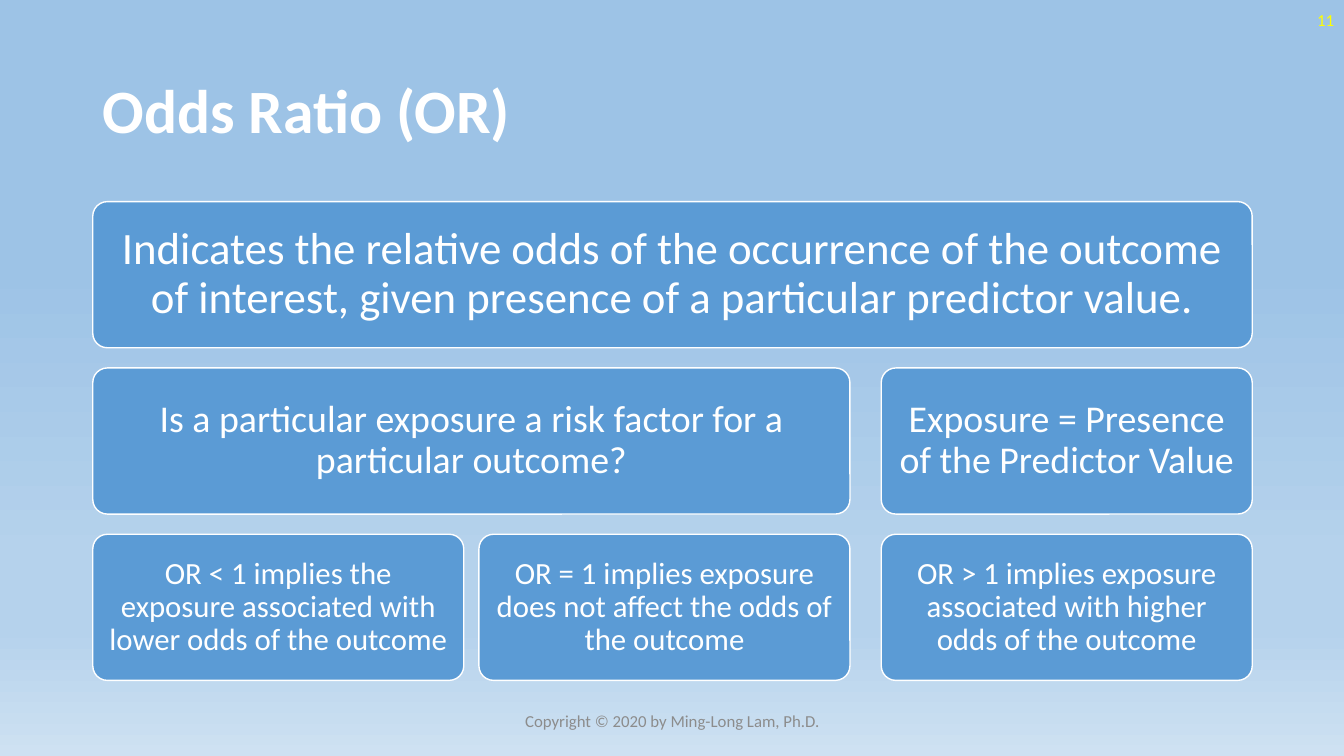
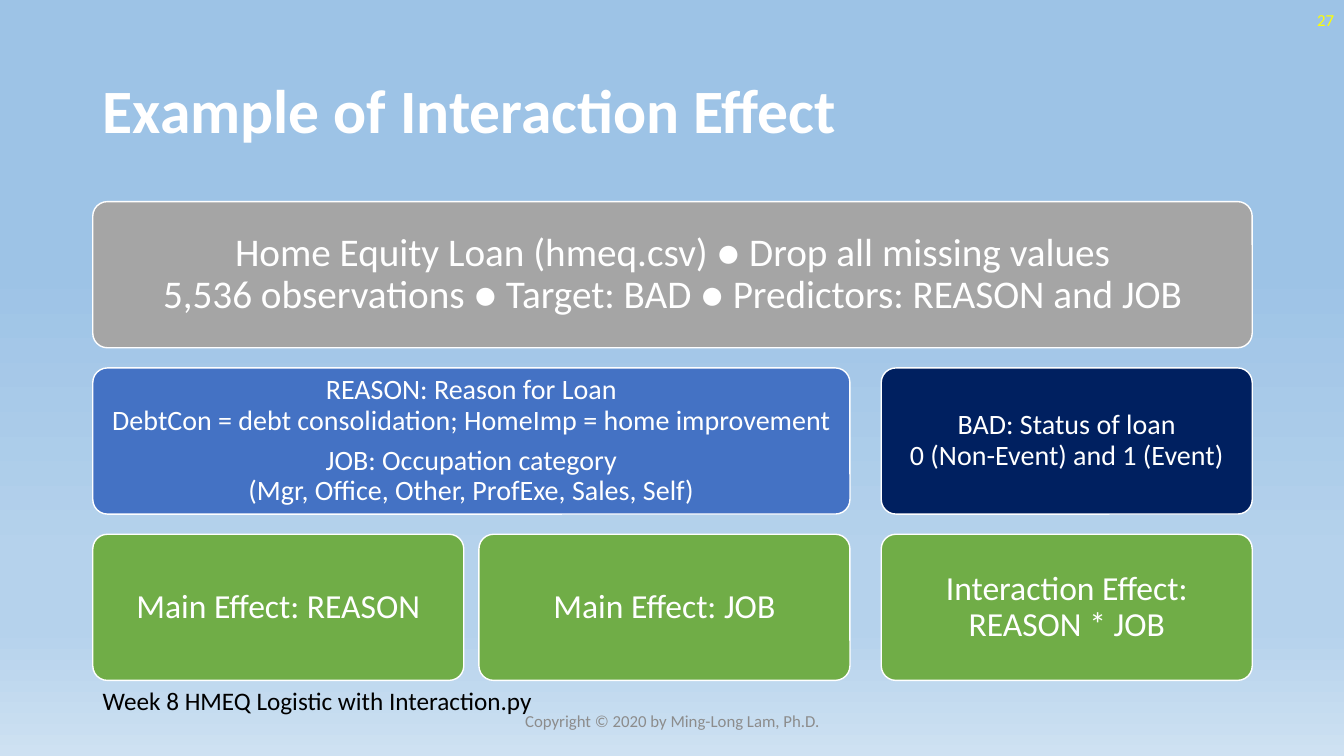
from lxml import etree
from pptx import Presentation
from pptx.dml.color import RGBColor
from pptx.enum.shapes import MSO_SHAPE
from pptx.enum.text import MSO_ANCHOR, PP_ALIGN
from pptx.oxml.ns import qn
from pptx.util import Pt

# Content: cards are (row, first column, columns spanned, fill, size, inset, paragraphs)
BLUE, GRAY, INDIGO, NAVY, GREEN = "5B9BD5", "A5A5A5", "4472C4", "002060", "70AD47"
SLIDES = [
    {
        "title": "Odds Ratio (OR)",
        "number": "11",
        "cards": [
            (0, 0, 3, BLUE, 32, 13, ["Indicates the relative odds of the occurrence of the outcome "
                                     "of interest, given presence of a particular predictor value."]),
            (1, 0, 2, BLUE, 27, 11, ["Is a particular exposure a risk factor for a particular outcome?"]),
            (1, 2, 1, BLUE, 27, 11, ["Exposure = Presence of the Predictor Value"]),
            (2, 0, 1, BLUE, 22, 9, ["OR < 1 implies the exposure associated with lower odds of the outcome"]),
            (2, 1, 1, BLUE, 22, 9, ["OR = 1 implies exposure does not affect the odds of the outcome"]),
            (2, 2, 1, BLUE, 22, 9, ["OR > 1 implies exposure associated with higher odds of the outcome"]),
        ],
    },
    {
        "title": "Example of Interaction Effect",
        "number": "27",
        "cards": [
            (0, 0, 3, GRAY, 28, 12, ["Home Equity Loan (hmeq.csv) ● Drop all missing values\n"
                                     "5,536 observations ● Target: BAD ● Predictors: REASON and JOB"]),
            (1, 0, 2, INDIGO, 20, 8, ["REASON: Reason for Loan\n"
                                      "DebtCon = debt consolidation; HomeImp = home improvement",
                                      "JOB: Occupation category\n"
                                      "(Mgr, Office, Other, ProfExe, Sales, Self)"]),
            (1, 2, 1, NAVY, 20, 8, ["BAD: Status of loan\n0 (Non-Event) and 1 (Event)"]),
            (2, 0, 1, GREEN, 24, 10, ["Main Effect: REASON"]),
            (2, 1, 1, GREEN, 24, 10, ["Main Effect: JOB"]),
            (2, 2, 1, GREEN, 24, 10, ["Interaction Effect:\nREASON * JOB"]),
        ],
        "source": "Week 8 HMEQ Logistic with Interaction.py",
    },
]
FOOTER = "Copyright © 2020 by Ming-Long Lam, Ph.D."

# Shared styles: place in px, paragraph and font formats
BOXES = {
    "title": ((92, 40, 1150, 145), {"line_spacing": 0.9}, {"size": 44, "bold": True, "color": "FFFFFF"}),
    "number": ((1033, 0, 300, 40), {"alignment": PP_ALIGN.RIGHT}, {"size": 12, "color": "FFFF00"}),
    "source": ((92, 675, 451, 40), {}, {"size": 18, "color": "000000"}),
    "footer": ((442, 695, 450, 40), {"alignment": PP_ALIGN.CENTER}, {"size": 12, "color": "8C8C8C"}),
}
GRADIENT = [(35, "9DC3E6"), (74, "B5D2EC"), (83, "B5D2EC"), (100, "CEE1F2")]
COLUMNS, COLUMN_W = (92, 475, 874), 368
ROW_TOP, ROW_H, ROW_STEP = 200, 145, 165


def px(n):
    return n * 9144


def rgb(code):
    return RGBColor.from_string(code)


def set_text(tf, paragraphs, para_format, font):
    tf.word_wrap = True
    tf.vertical_anchor = MSO_ANCHOR.MIDDLE
    for i, text in enumerate(paragraphs):
        p = tf.add_paragraph() if i else tf.paragraphs[0]
        p.text = text
        for name, value in para_format.items():
            setattr(p, name, value)
        if i:
            p.space_before = Pt(0.35 * font["size"])
        for r in p.runs:
            r.font.color.rgb = rgb(font["color"])
            for name, value in {**font, "name": "Calibri", "size": Pt(font["size"])}.items():
                if name != "color":
                    setattr(r.font, name, value)


def add_box(s, kind, text):
    place, para_format, font = BOXES[kind]
    sp = s.shapes.add_textbox(*map(px, place))
    set_text(sp.text_frame, [text], para_format, font)


def add_card(s, row, col, span, fill, size, inset, paragraphs):
    left = COLUMNS[col]
    width = COLUMNS[col + span - 1] + COLUMN_W - left
    place = (left, ROW_TOP + row * ROW_STEP, width, ROW_H)
    sp = s.shapes.add_shape(MSO_SHAPE.ROUNDED_RECTANGLE, *map(px, place))
    sp.adjustments[0] = 0.1
    sp.shadow.inherit = False
    sp.fill.solid()
    sp.fill.fore_color.rgb = rgb(fill)
    sp.line.color.rgb = rgb("FFFFFF")
    sp.line.width = Pt(1)
    tf = sp.text_frame
    for side in ("left", "top", "right", "bottom"):
        setattr(tf, f"margin_{side}", px(inset))
    set_text(tf, paragraphs, {"alignment": PP_ALIGN.CENTER, "line_spacing": 0.9},
             {"size": size, "color": "FFFFFF"})


def set_background(master):
    fill = master.background.fill
    fill.gradient()
    fill.gradient_angle = 270
    stops = master.element.find(".//" + qn("a:gsLst"))
    for stop in list(stops):
        stops.remove(stop)
    for percent, code in GRADIENT:
        stop = etree.SubElement(stops, qn("a:gs"), pos=str(percent * 1000))
        etree.SubElement(stop, qn("a:srgbClr"), val=code)


def main():
    prs = Presentation()
    prs.slide_width, prs.slide_height = px(1333), px(750)
    set_background(prs.slide_master)
    for content in SLIDES:
        s = prs.slides.add_slide(prs.slide_layouts[6])
        for card in content["cards"]:
            add_card(s, *card)
        for kind in BOXES:
            text = {**content, "footer": FOOTER}.get(kind)
            if text:
                add_box(s, kind, text)
    prs.save("out.pptx")


if __name__ == "__main__":
    main()
